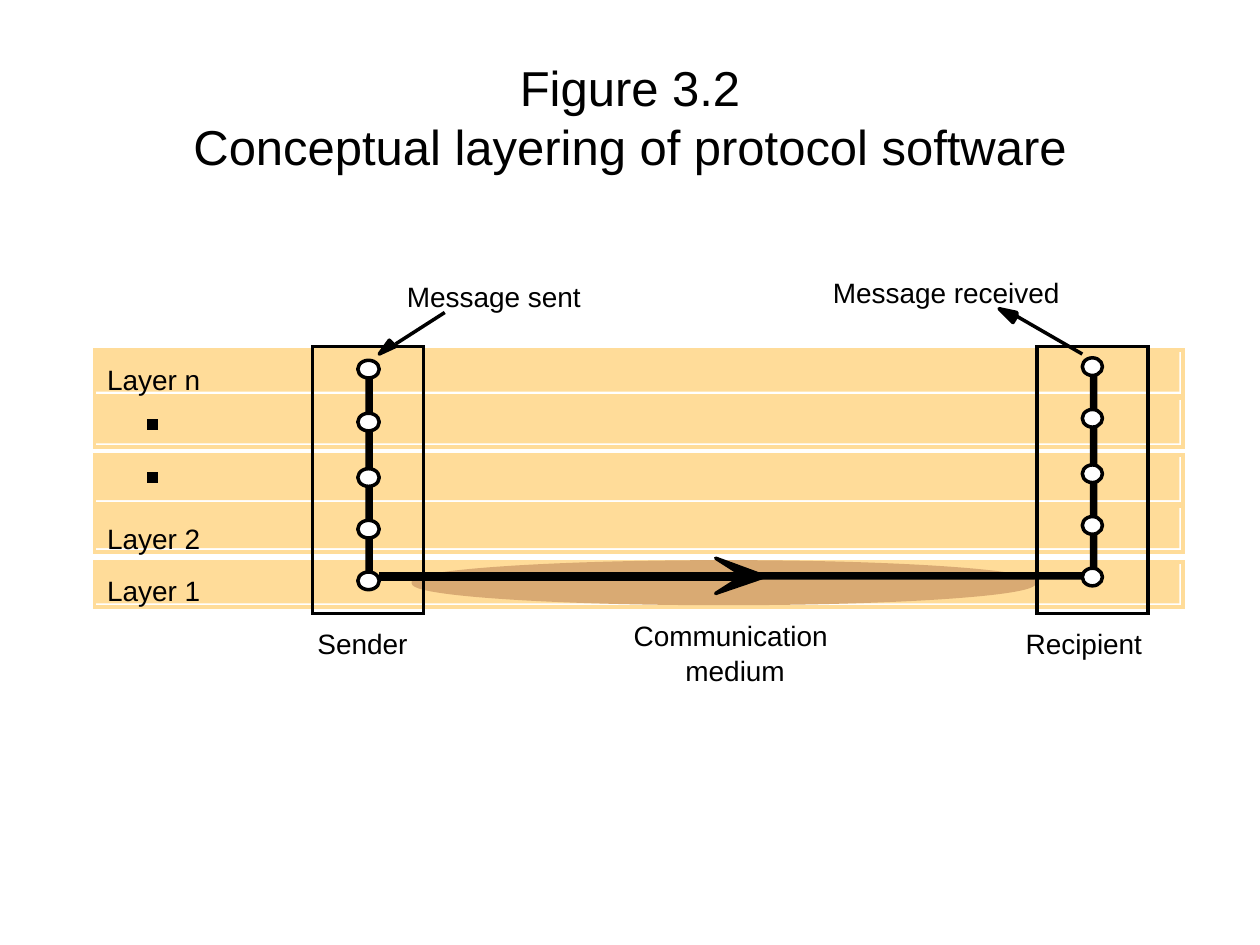
from dataclasses import dataclass
from typing import Optional

from lxml.etree import SubElement
from pptx import Presentation
from pptx.dml.color import RGBColor
from pptx.enum.shapes import MSO_CONNECTOR as Connector, MSO_SHAPE as Shape
from pptx.enum.text import MSO_ANCHOR as Anchor, MSO_AUTO_SIZE as AutoSize, PP_ALIGN as Align
from pptx.oxml.ns import qn
from pptx.util import Inches, Pt

BLACK = RGBColor(0x00, 0x00, 0x00)
WHITE = RGBColor(0xFF, 0xFF, 0xFF)
LAYER_FILL = RGBColor(0xFF, 0xDC, 0x99)
MEDIUM_FILL = RGBColor(0xD9, 0xAA, 0x73)
FONT = "Arial"
SLIDE_W, SLIDE_H = Inches(10), Inches(7.5)
COLUMNS, ROWS = 10, 7.5
LINE_WIDTH = 2

Point = tuple[float, float]


@dataclass(frozen=True)
class Box:
    left: float
    top: float
    width: float
    height: float


@dataclass(frozen=True)
class Label:
    text: str
    box: Box


@dataclass(frozen=True)
class Layer:
    top: float
    height: float


@dataclass(frozen=True)
class Stack:
    frame_left: float
    spine_left: float
    node_left: float
    node_width: float
    node_tops: tuple[float, ...]


@dataclass(frozen=True)
class Arrow:
    start: Point
    end: Point
    head: tuple[Point, ...]


LAYERS = (
    Layer(2.78, 0.33),
    Layer(3.16, 0.36),
    Layer(3.61, 0.36),
    Layer(4.02, 0.33),
    Layer(4.46, 0.33),
)
STACKS = (
    Stack(8.23, 8.65, 8.59, 0.16, (2.84, 3.25, 3.69, 4.1, 4.51)),
    Stack(2.48, 2.9, 2.84, 0.17, (2.86, 3.28, 3.72, 4.13, 4.54)),
)
ARROWS = (
    Arrow((3.01, 4.6), (5.87, 4.6),
          ((6.09, 4.57), (5.68, 4.71), (5.9, 4.57), (5.68, 4.43), (6.06, 4.57))),
    Arrow((8.59, 2.81), (8.07, 2.51),
          ((8.07, 2.51), (8.04, 2.56), (7.93, 2.45), (8.07, 2.48))),
    Arrow((3.53, 2.48), (3.14, 2.73),
          ((3.12, 2.73), (3.14, 2.75), (3.01, 2.81), (3.09, 2.7))),
)
LABELS = (
    Label("Layer n", Box(0.85, 2.88, 0.76, 0.27)),
    Label("Layer 2", Box(0.85, 4.14, 0.76, 0.27)),
    Label("Layer 1", Box(0.85, 4.55, 0.76, 0.27)),
    Label("Message sent", Box(3.23, 2.22, 1.4, 0.27)),
    Label("Message received", Box(6.61, 2.19, 1.82, 0.27)),
    Label("Communication", Box(5.03, 4.91, 1.56, 0.27)),
    Label("medium", Box(5.44, 5.19, 0.81, 0.27)),
    Label("Sender", Box(2.52, 4.97, 0.74, 0.27)),
    Label("Recipient", Box(8.14, 4.97, 0.95, 0.27)),
)
ELLIPSIS_TOPS = (3.33, 3.75)


def x(columns: float) -> int:
    return round(SLIDE_W * columns / COLUMNS)


def y(rows: float) -> int:
    return round(SLIDE_H * rows / ROWS)


def place(box: Box) -> tuple[int, int, int, int]:
    return x(box.left), y(box.top), x(box.width), y(box.height)


def paint(shape, fill: Optional[RGBColor], line: Optional[RGBColor],
          width: float = LINE_WIDTH) -> None:
    shape.shadow.inherit = False
    if fill is None:
        shape.fill.background()
    else:
        shape.fill.solid()
        shape.fill.fore_color.rgb = fill
    if line is None:
        shape.line.fill.background()
    else:
        shape.line.color.rgb = line
        shape.line.width = Pt(width)


def draw_shape(slide, kind: Shape, box: Box, fill: Optional[RGBColor] = None,
               line: Optional[RGBColor] = None, width: float = LINE_WIDTH) -> None:
    shape = slide.shapes.add_shape(kind, *place(box))
    paint(shape, fill, line, width)
    if kind == Shape.RECTANGLE and line is not None:
        SubElement(shape._element.spPr.find(qn("a:ln")), qn("a:miter"), lim="800000")


def draw_text(slide, label: Label, size: float):
    frame = slide.shapes.add_textbox(*place(label.box)).text_frame
    paragraph = frame.paragraphs[0]
    paragraph.text = label.text
    for run in paragraph.runs:
        run.font.name = FONT
        run.font.size = Pt(size)
        run.font.color.rgb = BLACK
    return frame


def draw_title(slide) -> None:
    title = Label("Figure 3.2\vConceptual layering of protocol software",
                  Box(0.5, 0.3, 9, 1.25))
    frame = draw_text(slide, title, 28)
    frame.word_wrap = True
    frame.vertical_anchor = Anchor.MIDDLE
    frame.paragraphs[0].alignment = Align.CENTER


def draw_label(slide, label: Label) -> None:
    frame = draw_text(slide, label, 16)
    frame.margin_left = frame.margin_right = 0
    frame.margin_top = frame.margin_bottom = 0
    frame.word_wrap = False
    frame.auto_size = AutoSize.SHAPE_TO_FIT_TEXT


def draw_layer(slide, layer: Layer) -> None:
    draw_shape(slide, Shape.RECTANGLE, Box(0.75, layer.top, 8.61, layer.height), LAYER_FILL)
    draw_shape(slide, Shape.RECTANGLE, Box(0.75, layer.top, 8.64, layer.height + 0.03),
               line=LAYER_FILL)


def draw_arrow(slide, arrow: Arrow) -> None:
    tip, *others = [(x(column), y(row)) for column, row in arrow.head]
    builder = slide.shapes.build_freeform(*tip)
    builder.add_line_segments(others, close=True)
    paint(builder.convert_to_shape(), BLACK, BLACK)
    (x1, y1), (x2, y2) = arrow.start, arrow.end
    shaft = slide.shapes.add_connector(Connector.STRAIGHT, x(x1), y(y1), x(x2), y(y2))
    shaft.line.color.rgb = BLACK
    shaft.line.width = Pt(LINE_WIDTH)
    SubElement(shaft._element.spPr, qn("a:effectLst"))


def draw_stack(slide, stack: Stack) -> None:
    draw_shape(slide, Shape.RECTANGLE, Box(stack.frame_left, 2.75, 0.88, 2.12), line=BLACK)
    draw_shape(slide, Shape.RECTANGLE, Box(stack.spine_left, 2.92, 0.06, 1.68), BLACK)
    for top in stack.node_tops:
        draw_shape(slide, Shape.OVAL, Box(stack.node_left, top, stack.node_width, 0.14),
                   WHITE, BLACK)


def main() -> None:
    deck = Presentation()
    deck.slide_width, deck.slide_height = SLIDE_W, SLIDE_H
    slide = deck.slides.add_slide(deck.slide_layouts[6])
    draw_title(slide)
    for layer in LAYERS:
        draw_layer(slide, layer)
    draw_shape(slide, Shape.OVAL, Box(3.28, 4.46, 4.93, 0.33), MEDIUM_FILL, MEDIUM_FILL)
    draw_shape(slide, Shape.RECTANGLE, Box(3.01, 4.54, 5.67, 0.06), BLACK)
    for label in LABELS:
        draw_label(slide, label)
    for stack in STACKS:
        draw_stack(slide, stack)
    for arrow in ARROWS:
        draw_arrow(slide, arrow)
    for top in ELLIPSIS_TOPS:
        draw_shape(slide, Shape.RECTANGLE, Box(1.17, top, 0.08, 0.08), BLACK, BLACK, 0.75)
    deck.save("out.pptx")


if __name__ == "__main__":
    main()
